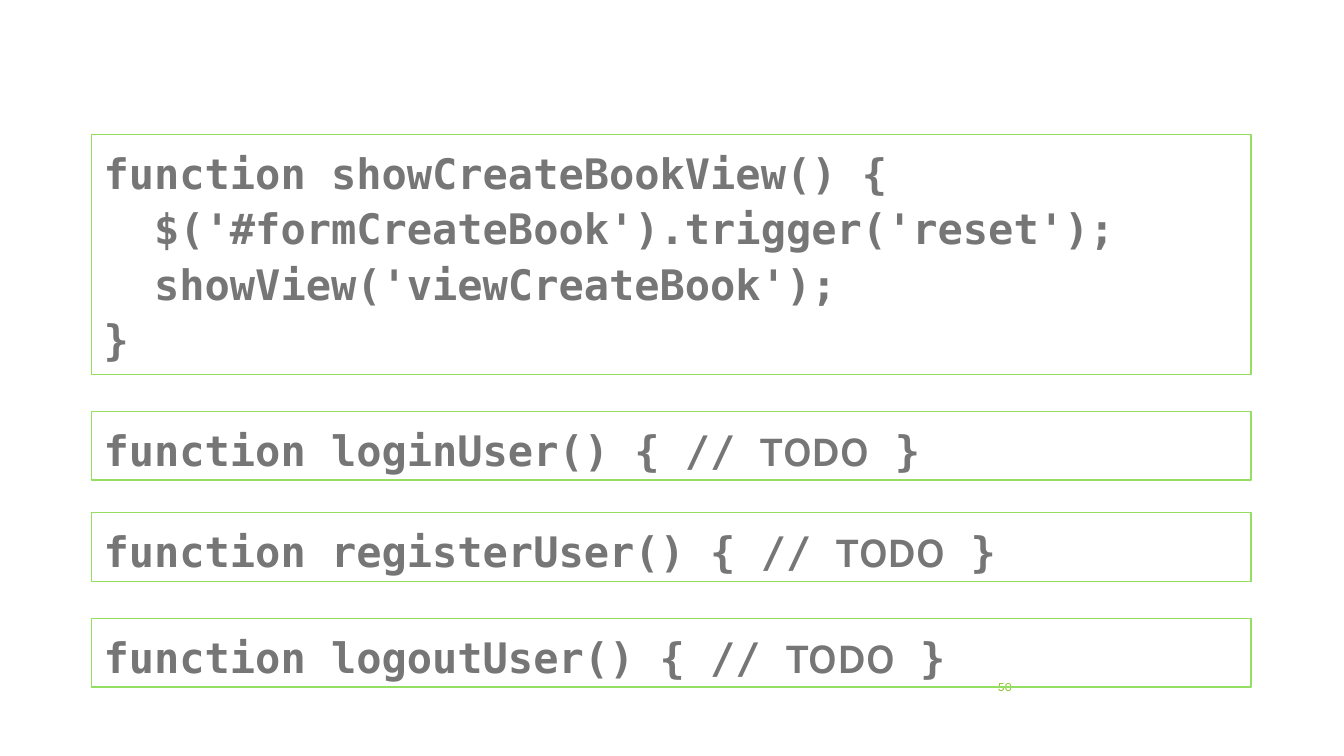
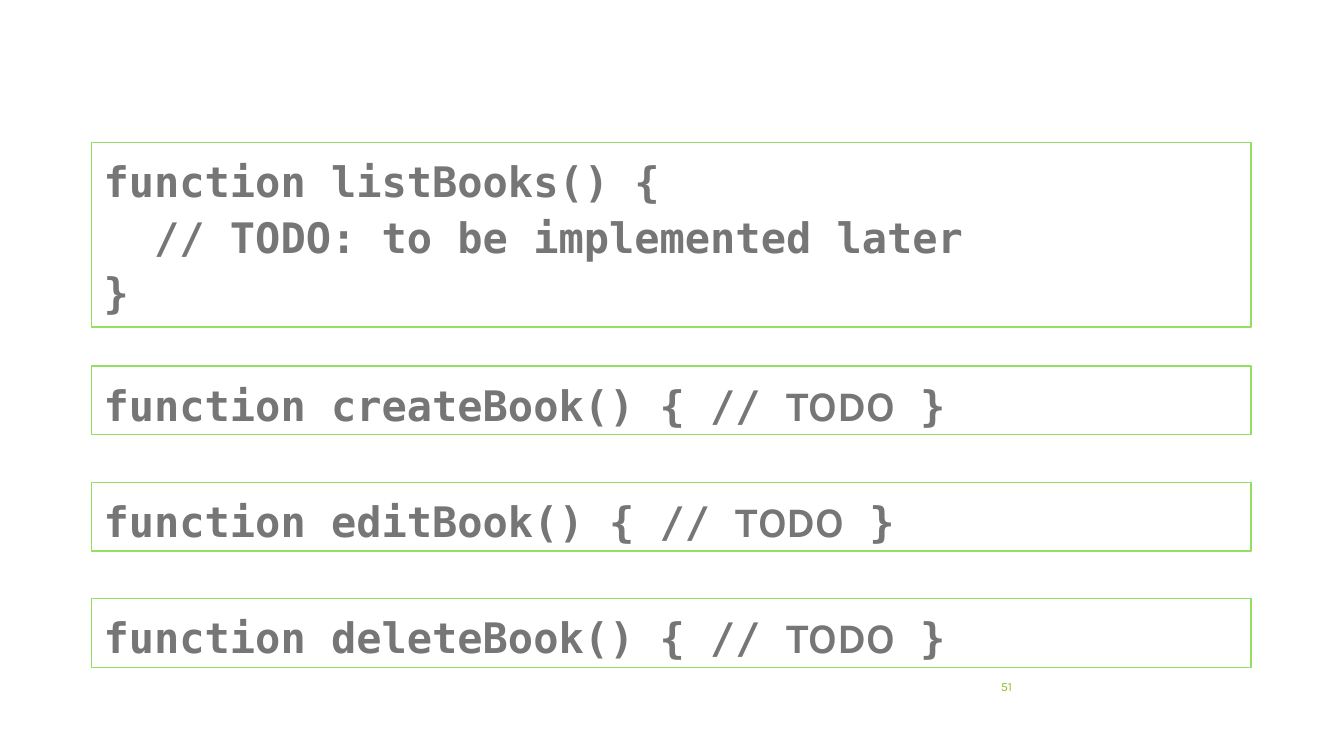
import dataclasses

import pptx
import pptx.dml.color
import pptx.enum.shapes
import pptx.enum.text
import pptx.util

CODE_FONT = "DejaVu Sans Mono"
TEXT_FONT = "Karla"
CODE_COLOR = "767676"
BORDER_COLOR = "94DE61"
NUMBER_COLOR = "90C226"
BOX_LEFT = 65.5
BOX_WIDTH = 828
STUB_HEIGHT = 49


@dataclasses.dataclass(frozen=True)
class CodeBox:
    top: float
    height: float
    lines: list[list[tuple[str, str]]]


@dataclasses.dataclass(frozen=True)
class CodePage:
    number: int
    boxes: list[CodeBox]


def listing(top: float, height: float, *lines: str) -> CodeBox:
    return CodeBox(top, height, [[(line, CODE_FONT)] for line in lines])


def stub(top: float, name: str) -> CodeBox:
    spans = [
        (f"function {name}() {{ // ", CODE_FONT),
        ("TODO", TEXT_FONT),
        (" }", CODE_FONT),
    ]
    return CodeBox(top, STUB_HEIGHT, [spans])


PAGES = [
    CodePage(50, [
        listing(
            96, 171.4,
            "function showCreateBookView() {",
            "  $('#formCreateBook').trigger('reset');",
            "  showView('viewCreateBook');",
            "}",
        ),
        stub(293.8, "loginUser"),
        stub(366.2, "registerUser"),
        stub(441.6, "logoutUser"),
    ]),
    CodePage(51, [
        listing(
            102, 131.6,
            "function listBooks() {",
            "  // TODO: to be implemented later",
            "}",
        ),
        *(stub(261.5 + 83.1 * index, name)
          for index, name in enumerate(["createBook", "editBook", "deleteBook"])),
    ]),
]


def color(value: str) -> pptx.dml.color.RGBColor:
    return pptx.dml.color.RGBColor.from_string(value)


def points(*values: float) -> list[pptx.util.Pt]:
    return [pptx.util.Pt(value) for value in values]


def format_span(span, font: str, size: float, fill: str, bold: bool = False) -> None:
    span.font.name = font
    span.font.size = pptx.util.Pt(size)
    span.font.color.rgb = color(fill)
    span.font.bold = bold


def draw_number(page, number: int) -> None:
    box = page.shapes.add_textbox(*points(676, 476, 54, 28.8))
    frame = box.text_frame
    frame.word_wrap = True
    frame.vertical_anchor = pptx.enum.text.MSO_ANCHOR.MIDDLE
    frame.text = str(number)
    para = frame.paragraphs[0]
    para.alignment = pptx.enum.text.PP_ALIGN.RIGHT
    format_span(para.runs[0], TEXT_FONT, 9, NUMBER_COLOR)


def draw_code(page, code: CodeBox) -> None:
    box = page.shapes.add_shape(
        pptx.enum.shapes.MSO_SHAPE.RECTANGLE,
        *points(BOX_LEFT, code.top, BOX_WIDTH, code.height),
    )
    box.shadow.inherit = False
    box.fill.background()
    box.line.color.rgb = color(BORDER_COLOR)
    box.line.width = pptx.util.Pt(1)
    frame = box.text_frame
    frame.word_wrap = True
    frame.auto_size = pptx.enum.text.MSO_AUTO_SIZE.SHAPE_TO_FIT_TEXT
    frame.vertical_anchor = pptx.enum.text.MSO_ANCHOR.TOP
    frame.margin_left = frame.margin_right = pptx.util.Pt(8.5)
    frame.margin_top = frame.margin_bottom = pptx.util.Pt(5.7)
    for index, spans in enumerate(code.lines):
        para = frame.add_paragraph() if index else frame.paragraphs[0]
        para.alignment = pptx.enum.text.PP_ALIGN.LEFT
        para.line_spacing = 1.1
        for text, font in spans:
            span = para.add_run()
            span.text = text
            format_span(span, font, 30, CODE_COLOR, bold=True)


def main() -> None:
    deck = pptx.Presentation()
    deck.slide_width, deck.slide_height = points(960, 540)
    blank = deck.slide_layouts.get_by_name("Blank")
    for code_page in PAGES:
        page = deck.slides.add_slide(blank)
        draw_number(page, code_page.number)
        for code in code_page.boxes:
            draw_code(page, code)
    deck.save("out.pptx")


if __name__ == "__main__":
    main()
